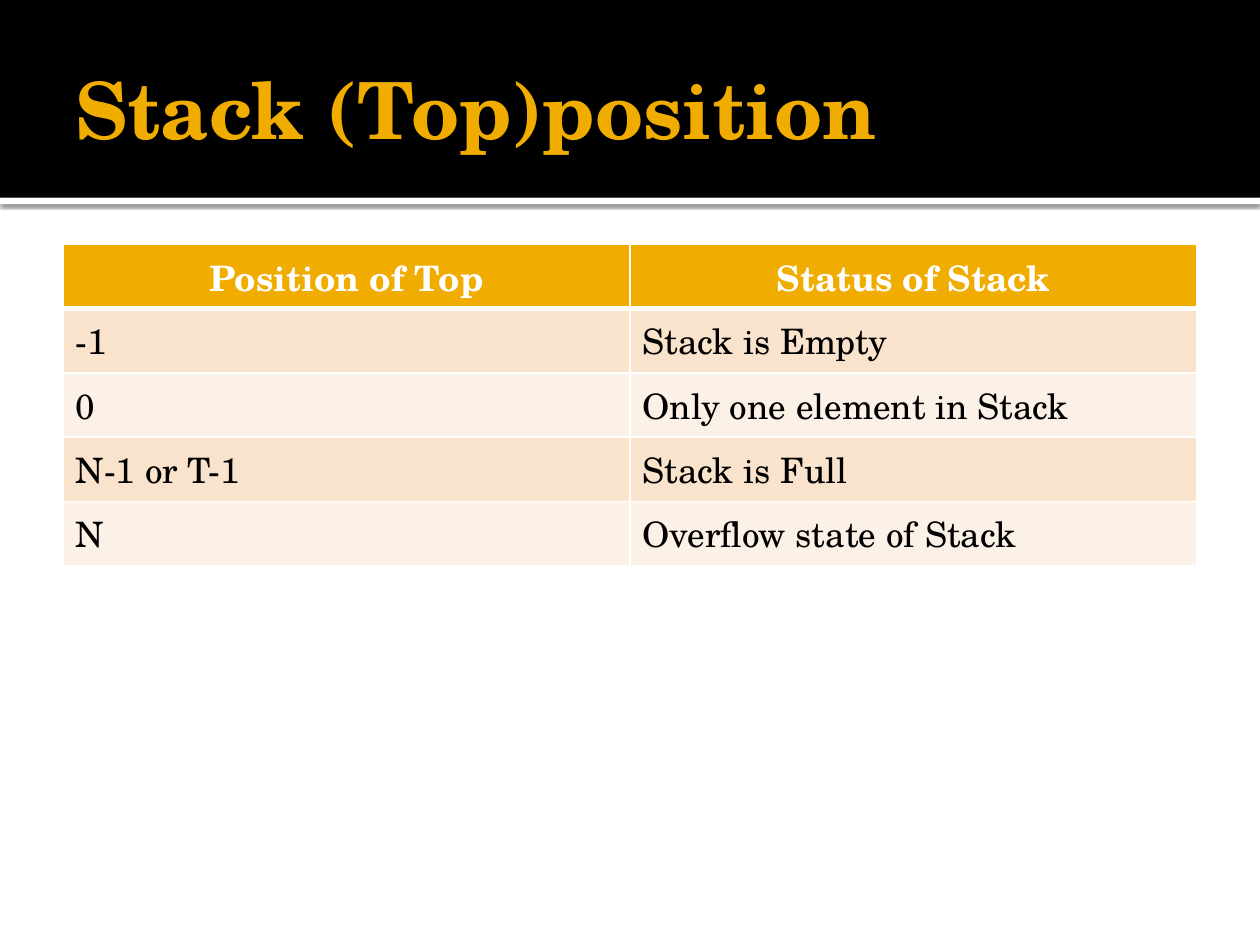
from dataclasses import dataclass

from lxml import etree
from pptx import Presentation
from pptx import util as u
from pptx.dml.color import RGBColor
from pptx.enum import shapes, text
from pptx.oxml.ns import qn


@dataclass(frozen=True)
class Theme:
    font: str = "TeX Gyre Schola"
    title_size: int = 45
    table_size: int = 20
    accent: str = "F0AD00"
    dark: str = "000000"
    light: str = "FFFFFF"
    bands: tuple = ("F9E3CC", "FCF1E7")
    border: float = 1
    header_border: float = 3


class SlideBuilder:
    def __init__(self, slide, theme):
        self.slide = slide
        self.theme = theme

    def add_run(self, paragraph, words, size, color, bold=False):
        run = paragraph.add_run()
        run.text = words
        run.font.name = self.theme.font
        run.font.size = u.Pt(size)
        run.font.bold = bold
        run.font.color.rgb = RGBColor.from_string(color)

    def add_band(self, top, height, color):
        shape = self.slide.shapes.add_shape(
            shapes.MSO_SHAPE.RECTANGLE, 0, u.Inches(top), u.Inches(10), u.Inches(height))
        shape.shadow.inherit = False
        shape.fill.solid()
        shape.fill.fore_color.rgb = RGBColor.from_string(color)
        shape.line.fill.background()
        return shape

    def add_shadow(self, shape, blur, distance, opacity):
        effects = shape._element.spPr.find(qn("a:effectLst"))
        shadow = etree.SubElement(
            effects, qn("a:outerShdw"), blurRad=str(u.Pt(blur)), dist=str(u.Pt(distance)),
            dir="5400000", algn="t", rotWithShape="0")
        color = etree.SubElement(shadow, qn("a:srgbClr"), val=self.theme.dark)
        etree.SubElement(color, qn("a:alpha"), val=str(opacity * 1000))

    def add_title(self, words):
        box = self.slide.shapes.add_textbox(
            u.Inches(0.5), u.Inches(0.17), u.Inches(9), u.Inches(1.37))
        frame = box.text_frame
        frame.word_wrap = True
        frame.vertical_anchor = text.MSO_ANCHOR.MIDDLE
        frame.margin_left = u.Inches(0.1)
        frame.margin_right = frame.margin_top = frame.margin_bottom = u.Inches(0.05)
        self.add_run(frame.paragraphs[0], words, self.theme.title_size, self.theme.accent, True)

    def set_borders(self, cell, top, bottom):
        properties = cell._tc.get_or_add_tcPr()
        sides = {"L": self.theme.border, "R": self.theme.border, "T": top, "B": bottom}
        for index, (side, width) in enumerate(sides.items()):
            line = etree.Element(qn(f"a:ln{side}"), w=str(u.Pt(width)))
            fill = etree.SubElement(line, qn("a:solidFill"))
            etree.SubElement(fill, qn("a:srgbClr"), val=self.theme.light)
            properties.insert(index, line)

    def add_table(self, rows, left, top, width, row_height):
        theme = self.theme
        table = self.slide.shapes.add_table(
            len(rows), len(rows[0]), u.Inches(left), u.Inches(top),
            u.Inches(width), u.Inches(row_height * len(rows))).table
        for row_index, values in enumerate(rows):
            header = row_index == 0
            fill = theme.accent if header else theme.bands[(row_index - 1) % 2]
            top_border = theme.header_border if row_index == 1 else theme.border
            bottom_border = theme.header_border if header else theme.border
            for column_index, words in enumerate(values):
                cell = table.cell(row_index, column_index)
                cell.fill.solid()
                cell.fill.fore_color.rgb = RGBColor.from_string(fill)
                self.set_borders(cell, top_border, bottom_border)
                paragraph = cell.text_frame.paragraphs[0]
                if header:
                    paragraph.alignment = text.PP_ALIGN.CENTER
                self.add_run(paragraph, words, theme.table_size,
                             theme.light if header else theme.dark, header)


def main():
    presentation = Presentation()
    presentation.slide_width = u.Inches(10)
    presentation.slide_height = u.Inches(7.5)
    slide = presentation.slides.add_slide(presentation.slide_layouts[6])
    theme = Theme()
    builder = SlideBuilder(slide, theme)

    # Header: a white strip with a soft shadow under the black band
    strip = builder.add_band(1.57, 0.05, theme.light)
    builder.add_shadow(strip, blur=2.5, distance=0.8, opacity=60)
    builder.add_band(0, 1.57, theme.dark)
    builder.add_title("Stack (Top)position")

    # Table of top positions and what they mean
    builder.add_table([
        ("Position of Top", "Status of Stack"),
        ("-1", "Stack is Empty"),
        ("0", "Only one element in Stack"),
        ("N-1 or T-1", "Stack is Full"),
        ("N", "Overflow state of Stack"),
    ], left=0.5, top=1.94, width=9, row_height=0.51)

    presentation.save("out.pptx")


if __name__ == "__main__":
    main()
